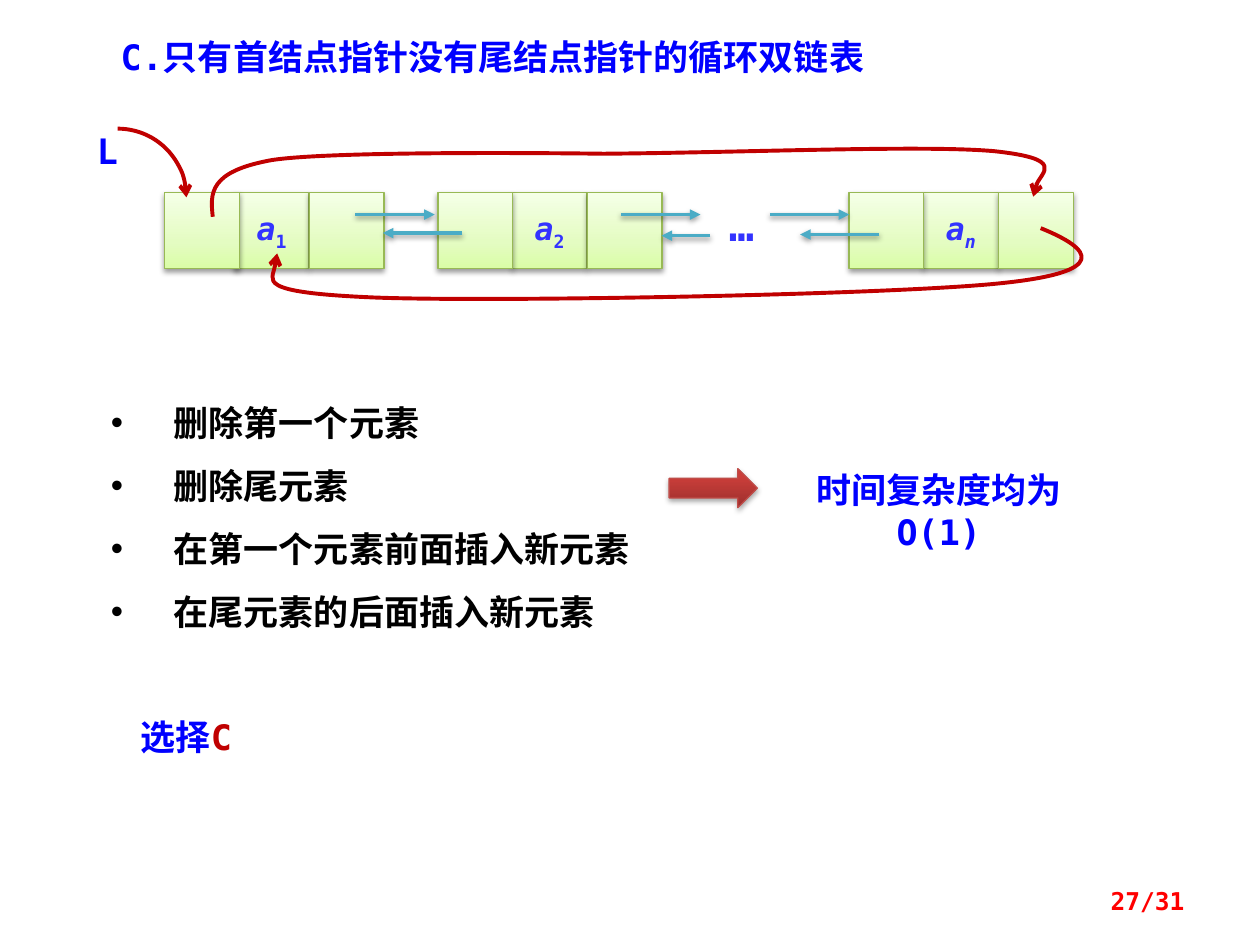
import lxml.etree
import pptx
import pptx.dml.color
import pptx.enum.shapes
import pptx.enum.text
import pptx.oxml.ns
import pptx.util

Pt = pptx.util.Pt
qn = pptx.oxml.ns.qn
SHAPE = pptx.enum.shapes.MSO_SHAPE
ALIGN = pptx.enum.text.PP_ALIGN
ANCHOR = pptx.enum.text.MSO_ANCHOR

FONT = "DejaVu Sans Mono"
BLUE, VIOLET, RED, TEAL = "0000FF", "3333FF", "C00000", "4BACC6"
GREEN_STOPS = [(0, "DAFDA7"), (35, "E4FCC2"), (100, "F5FFE7")]
RED_STOPS = [(0, "9C2F2D"), (80, "CB3E3A"), (100, "CE3B37")]


def rgb(color):
    return pptx.dml.color.RGBColor.from_string(color)


def child(parent, tag, **attrs):
    values = {k: str(v) for k, v in attrs.items()}
    return lxml.etree.SubElement(parent, qn(tag), values)


def add_run(p, text, size=20, color=BLUE, bold=True, italic=False, baseline=0):
    r = p.add_run()
    r.text = text
    r.font.name, r.font.size = FONT, Pt(size)
    r.font.bold, r.font.italic = bold, italic
    r.font.color.rgb = rgb(color)
    rpr = r.font._element
    child(rpr, "a:ea", typeface=FONT)
    if baseline:
        rpr.set("baseline", str(baseline * 1000))


def add_text(s, text, x, y, w, h, align=ALIGN.LEFT, anchor=ANCHOR.TOP, **fmt):
    """Add a wrapping text box; return it with its first paragraph."""
    sp = s.shapes.add_textbox(Pt(x), Pt(y), Pt(w), Pt(h))
    tf = sp.text_frame
    tf.word_wrap, tf.vertical_anchor = True, anchor
    p = tf.paragraphs[0]
    p.alignment = align
    if text:
        add_run(p, text, **fmt)
    return sp, p


def set_effect(sp, alpha=0, dist=1.6):
    """Give the shape a soft shadow, or none when alpha is 0."""
    effects = child(sp._element.spPr, "a:effectLst")
    if alpha:
        shadow = child(effects, "a:outerShdw", blurRad=Pt(3.1), dist=Pt(dist),
                       dir=5400000, rotWithShape=0)
        clr = child(shadow, "a:srgbClr", val="000000")
        child(clr, "a:alpha", val=alpha * 1000)


def set_line(sp, color, width, arrow=None):
    sp.line.color.rgb = rgb(color)
    sp.line.width = Pt(width)
    if arrow:
        child(sp._element.spPr.find(qn("a:ln")), "a:tailEnd", type=arrow)


def add_gradient_shape(s, kind, x, y, w, h, stops, line, alpha, dist):
    sp = s.shapes.add_shape(kind, Pt(x), Pt(y), Pt(w), Pt(h))
    sp.fill.gradient()
    sp.fill.gradient_angle = 90
    gs_list = sp._element.spPr.find(qn("a:gradFill")).find(qn("a:gsLst"))
    for gs in list(gs_list):
        gs_list.remove(gs)
    for pos, color in stops:
        child(child(gs_list, "a:gs", pos=pos * 1000), "a:srgbClr", val=color)
    set_line(sp, line, 0.75)
    set_effect(sp, alpha, dist)
    return sp


def add_link(s, x1, x2, y):
    sp = s.shapes.add_connector(pptx.enum.shapes.MSO_CONNECTOR.STRAIGHT,
                                Pt(x1), Pt(y), Pt(x2), Pt(y))
    set_line(sp, TEAL, 2, "triangle")
    set_effect(sp, 38)


def add_curve(s, x, y, points):
    """Draw a cubic Bezier: a start point, then three points per segment."""
    pts = [(Pt(x + px), Pt(y + py)) for px, py in points]
    builder = s.shapes.build_freeform(*pts[0])
    builder.add_line_segments(pts[1:], close=False)
    sp = builder.convert_to_shape()
    # Merge every three straight segments into one cubic segment
    lines = list(sp._element.iter(qn("a:lnTo")))
    outline = lines[0].getparent()
    for i in range(0, len(lines), 3):
        cubic = child(outline, "a:cubicBezTo")
        for ln in lines[i:i + 3]:
            cubic.append(ln[0])
            outline.remove(ln)
    sp.fill.background()
    set_line(sp, RED, 2.25, "arrow")
    set_effect(sp)


def add_node(s, x, y, left, sub, sub_italic):
    """Three cells; x is the middle one, left is the step to the first."""
    w, h = 42.6, 43.2
    for step, has_text in ((0, True), (w + 0.3, False), (-left, False)):
        sp = add_gradient_shape(s, SHAPE.RECTANGLE, x + step, y, w, h,
                                GREEN_STOPS, "98B955", 38, 1.6)
        if has_text:
            tf = sp.text_frame
            tf.word_wrap, tf.vertical_anchor = False, ANCHOR.MIDDLE
            p = tf.paragraphs[0]
            p.alignment = ALIGN.CENTER
            add_run(p, "a", size=18, color=VIOLET, italic=True)
            add_run(p, sub, size=18, color=VIOLET, italic=sub_italic, baseline=-25)


def add_linked_list(s, x, y):
    # Nodes
    for mid, left, sub, italic in ((89.3, 39.8, "1", False), (248.2, 42.6, "2", False),
                                   (483.2, 42.6, "n", True)):
        add_node(s, x + mid, y + 39.6, left, sub, italic)
    add_text(s, "…", x + 356.4, y + 39.6, 45.4, 36, ALIGN.CENTER,
             size=24, color=VIOLET)
    # Next pointers, then previous pointers
    for start in (158.4, 310.3, 395.3):
        add_link(s, x + start, x + start + 45.4, y + 52)
    for start, end, dy in ((219.6, 174.2, 62.6), (361.4, 333.4, 64.1),
                           (457.9, 412.6, 63.4)):
        add_link(s, x + start, x + end, y + dy)
    # Head pointer
    arc = s.shapes.add_shape(SHAPE.ARC, Pt(x - 16.6), Pt(y + 2.9), Pt(78.5), Pt(78.5))
    arc.fill.background()
    set_line(arc, RED, 2.25, "arrow")
    set_effect(arc)
    add_text(s, "L", x, y, 33.8, 31.7, ALIGN.CENTER)
    # Circular links: first node to last, last node to first
    add_curve(s, x, y, [(77, 53.3), (75.6, 40.3), (74.2, 27.4), (110.9, 20.9),
                        (148.3, 15.1), (300.2, 17.3), (300.2, 17.3),
                        (381.6, 16.6), (482.4, 12.2), (523.4, 15.8),
                        (564.5, 20.2), (545, 33.1), (545.8, 41.8)])
    add_curve(s, x, y, [(550.1, 59.8), (580.3, 72), (589.7, 85), (526.3, 91.4),
                        (463, 97.9), (236.9, 102.2), (168.5, 99.4),
                        (100.1, 96.5), (113, 85.7), (113.8, 74.2)])


def add_operations(s, x, y):
    sp, p = add_text(s, "", x, y, 315.4, 152.6)
    sp.fill.solid()
    sp.fill.fore_color.rgb = rgb("FFFFFF")
    items = ("删除第一个元素", "删除尾元素", "在第一个元素前面插入新元素", "在尾元素的后面插入新元素")
    for i, item in enumerate(items):
        if i:
            p = sp.text_frame.add_paragraph()
        p.line_spacing = 1.5
        ppr = p._p.get_or_add_pPr()
        ppr.set("marL", str(Pt(36)))
        ppr.set("indent", str(Pt(-36)))
        child(ppr, "a:buFont", typeface="Arial")
        child(ppr, "a:buChar", char="•")
        add_run(p, item, color="000000")
    # Result
    add_gradient_shape(s, SHAPE.RIGHT_ARROW, x + 326.2, y + 54, 50.4, 22.3,
                       RED_STOPS, "BF4C48", 35, 1.8)
    add_text(s, "时间复杂度均为O(1)", x + 387.4, y + 50.4, 185.8, 55.4, ALIGN.CENTER)


def add_answer(s, x, y):
    _, p = add_text(s, "选择", x, y, 123.8, 31.7)
    add_run(p, "C", color=RED)


def main():
    prs = pptx.Presentation()
    prs.slide_width, prs.slide_height = Pt(720), Pt(540)
    s = prs.slides.add_slide(prs.slide_layouts[6])
    add_linked_list(s, 44.6, 70.6)
    add_text(s, "C.只有首结点指针没有尾结点指针的循环双链表", 61.9, 16.6, 500.4, 31.7)
    add_operations(s, 56.2, 213.8)
    add_answer(s, 73.4, 405.4)
    # Page number
    add_text(s, "27/31", 516.2, 500.4, 167.8, 28.8, ALIGN.RIGHT, ANCHOR.MIDDLE,
             size=14, color="FF0000")
    prs.save("out.pptx")


if __name__ == "__main__":
    main()
